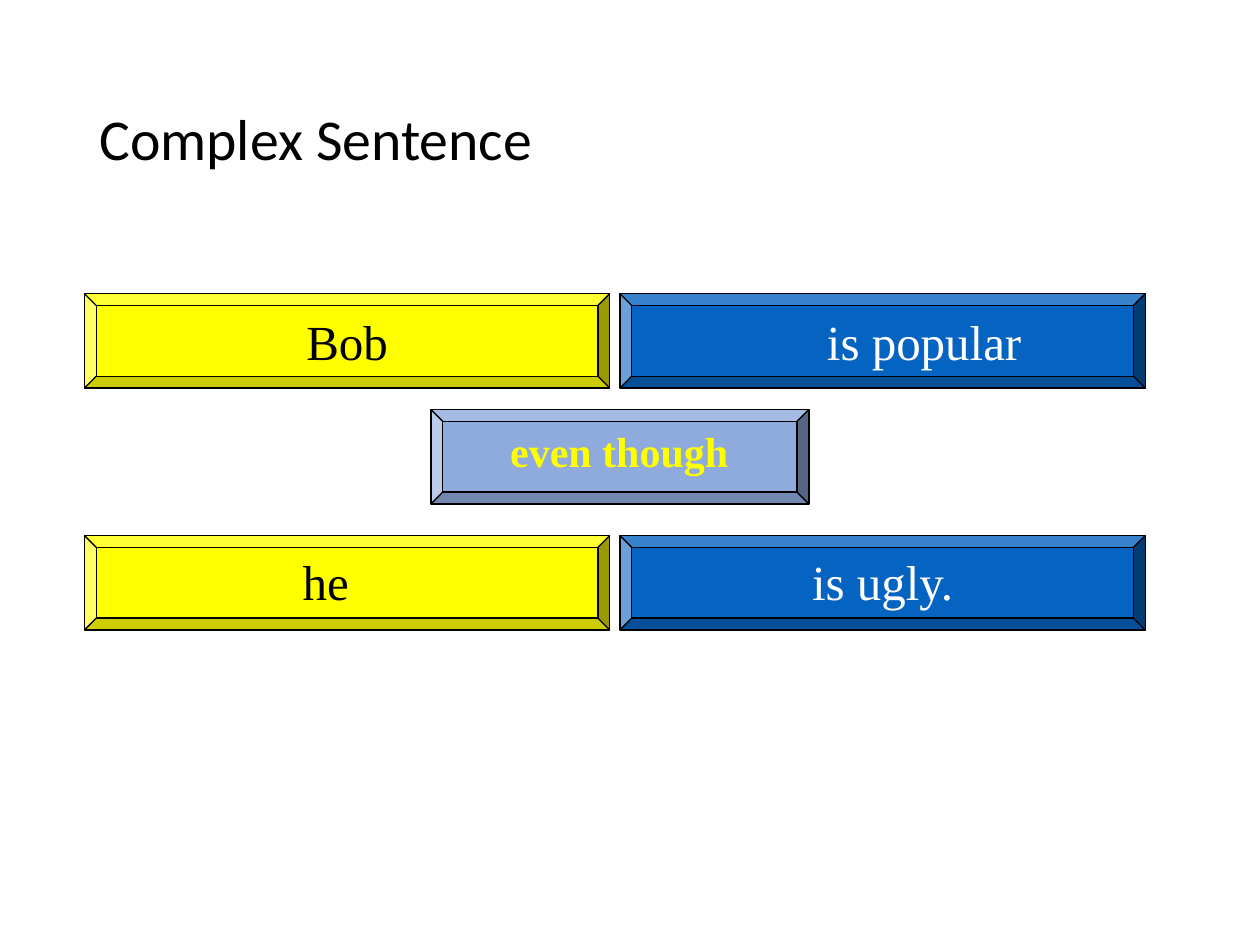
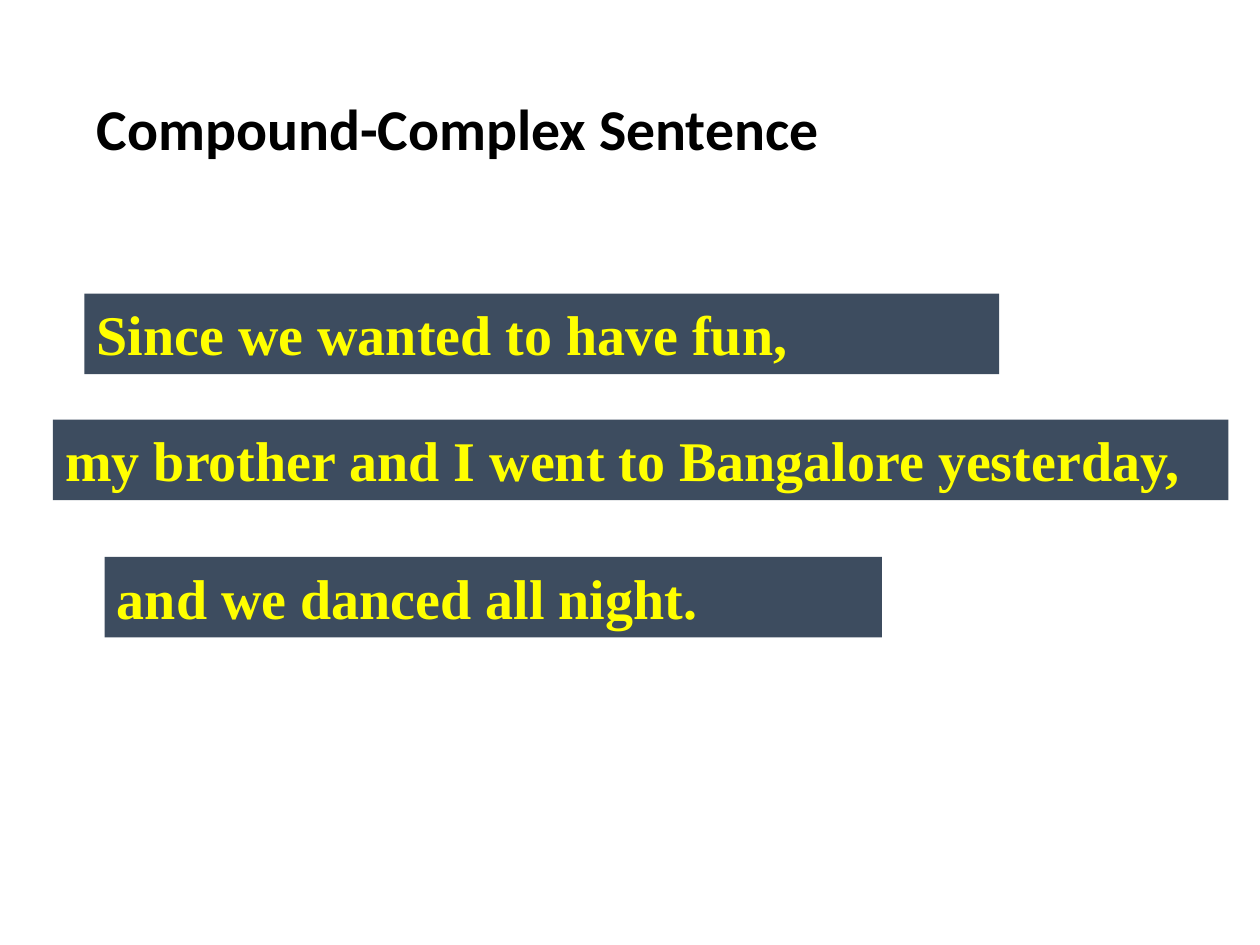
from dataclasses import dataclass

from pptx import Presentation
from pptx.dml.color import RGBColor
from pptx.enum.shapes import MSO_SHAPE
from pptx.enum.text import MSO_ANCHOR, PP_ALIGN
from pptx.util import Inches, Pt


@dataclass(frozen=True)
class Theme:
    black: str = "000000"
    white: str = "FFFFFF"
    yellow: str = "FFFF00"
    subject: str = "FFFF00"
    predicate: str = "0563C1"
    conjunction: str = "8FAADC"
    clause: str = "3D4C5F"
    title_font: str = "Calibri"
    body_font: str = "Times New Roman"
    title_size: int = 33
    word_size: int = 28
    conjunction_size: int = 24
    clause_size: int = 32


T = Theme()
SUBJECT_LEFT, PREDICATE_LEFT = 0.67, 4.92
BLOCK_WIDTH, BLOCK_HEIGHT = 4.17, 0.75
LABEL_WIDTH, LABEL_HEIGHT = 3.67, 0.57


def write(shape, text, size=T.word_size, color=T.black, font=T.body_font,
          bold=False, align=PP_ALIGN.LEFT, anchor=MSO_ANCHOR.TOP, spacing=1.0):
    tf = shape.text_frame
    tf.word_wrap = True
    tf.vertical_anchor = anchor
    p = tf.paragraphs[0]
    p.alignment = align
    p.line_spacing = spacing
    r = p.add_run()
    r.text = text
    r.font.name = font
    r.font.size = Pt(size)
    r.font.bold = bold
    r.font.color.rgb = RGBColor.from_string(color)


def add_text(s, text, left, top, width, height, **fmt):
    box = s.shapes.add_textbox(*map(Inches, (left, top, width, height)))
    write(box, text, **fmt)


def add_title(s, text, left, top, width, height, bold=False):
    add_text(s, text, left, top, width, height, size=T.title_size,
             font=T.title_font, bold=bold, anchor=MSO_ANCHOR.MIDDLE, spacing=0.9)


def add_filled(s, kind, left, top, width, height, fill):
    sp = s.shapes.add_shape(kind, *map(Inches, (left, top, width, height)))
    sp.shadow.inherit = False
    sp.fill.solid()
    sp.fill.fore_color.rgb = RGBColor.from_string(fill)
    return sp


def add_block(s, left, top, width, fill):
    sp = add_filled(s, MSO_SHAPE.BEVEL, left, top, width, BLOCK_HEIGHT, fill)
    sp.adjustments[0] = 0.125
    sp.line.color.rgb = RGBColor.from_string(T.black)
    sp.line.width = Pt(0.75)


def add_clause_row(s, top, label_top, subject, predicate):
    """Subject and predicate blocks; each word comes as (text, label left)."""
    parts = ((SUBJECT_LEFT, T.subject, T.black, subject),
             (PREDICATE_LEFT, T.predicate, T.white, predicate))
    for left, fill, color, (text, label_left) in parts:
        add_block(s, left, top, BLOCK_WIDTH, fill)
        add_text(s, text, label_left, label_top, LABEL_WIDTH, LABEL_HEIGHT,
                 color=color, align=PP_ALIGN.CENTER)


def add_clause_bar(s, text, left, top, width):
    sp = add_filled(s, MSO_SHAPE.RECTANGLE, left, top, width, 0.64, T.clause)
    sp.line.fill.background()
    write(sp, text, size=T.clause_size, color=T.yellow, bold=True)


def add_complex_slide(prs):
    s = prs.slides.add_slide(prs.slide_layouts[6])
    add_title(s, "Complex Sentence", 0.69, 0.4, 8.63, 1.45)
    add_clause_row(s, 2.33, 2.42, ("Bob", 0.92), ("is popular", 5.5))
    add_block(s, 3.42, 3.25, 3, T.conjunction)
    add_text(s, "even though", 3.5, 3.33, 2.83, 0.5, size=T.conjunction_size,
             color=T.yellow, bold=True, align=PP_ALIGN.CENTER)
    add_clause_row(s, 4.25, 4.33, ("he", 0.75), ("is ugly.", 5.17))


def add_compound_complex_slide(prs):
    s = prs.slides.add_slide(prs.slide_layouts[6])
    add_title(s, "Compound-Complex Sentence", 0.67, 0.42, 8.5, 1.25, bold=True)
    add_clause_bar(s, "Since we wanted to have fun,", 0.67, 2.33, 7.26)
    add_clause_bar(s, "my brother and I went to Bangalore yesterday,", 0.42, 3.33, 9.33)
    add_clause_bar(s, "and we danced all night.", 0.83, 4.42, 6.17)


def main():
    prs = Presentation()
    prs.slide_width, prs.slide_height = Inches(10), Inches(7.5)
    add_complex_slide(prs)
    add_compound_complex_slide(prs)
    prs.save("out.pptx")


if __name__ == "__main__":
    main()
